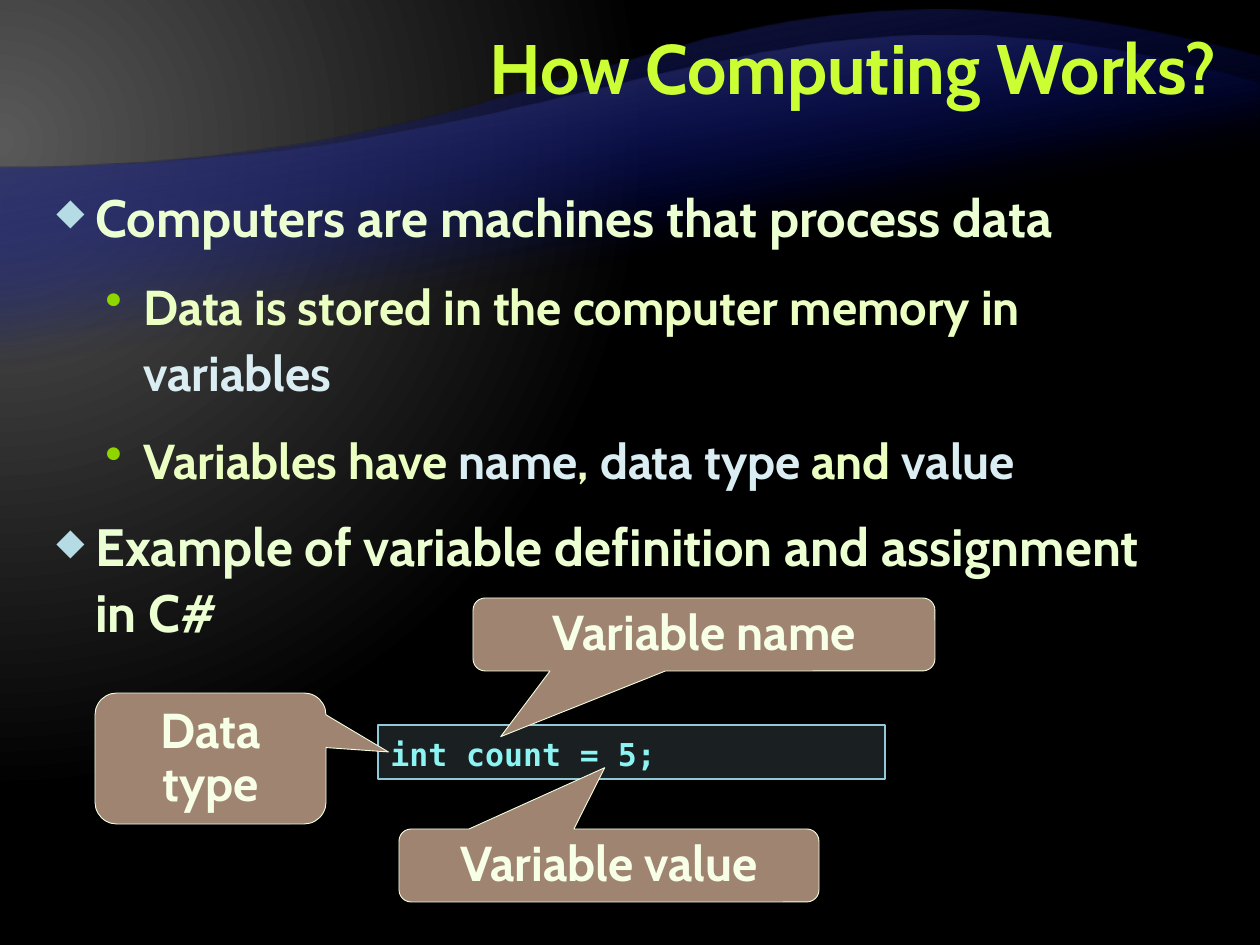
from lxml.etree import SubElement
from pptx import Presentation
from pptx.dml.color import RGBColor
from pptx.enum.shapes import MSO_SHAPE as Shape
from pptx.enum.text import MSO_ANCHOR as Anchor, PP_ALIGN as Align
from pptx.oxml import parse_xml
from pptx.oxml.ns import nsdecls, qn
from pptx.util import Pt

PX = 914400 / 126
WIDTH, HEIGHT = 1260, 945
HEADING_FONT, CODE_FONT = "Cabin", "DejaVu Sans Mono"
LIME = RGBColor(0xCC, 0xFF, 0x33)
TOPIC = RGBColor(0xEB, 0xFF, 0xD2)
DETAIL = RGBColor(0xEB, 0xFF, 0xC2)
KEYWORD = RGBColor(0xDA, 0xED, 0xF2)
ICE = RGBColor(0xB5, 0xDB, 0xE5)
GREEN = RGBColor(0x8F, 0xD6, 0x00)
CODE_TEXT = RGBColor(0x8C, 0xF4, 0xF2)
CODE_EDGE = RGBColor(0x90, 0xCA, 0xD7)
BROWN = RGBColor(0x9F, 0x84, 0x71)
CREAM = RGBColor(0xF7, 0xFF, 0xE7)
CALLOUT_EDGE = RGBColor(0xF5, 0xFF, 0xE0)
BLUE = RGBColor(0x00, 0x0D, 0x9E)
CHARCOAL = RGBColor(0x26, 0x26, 0x26)
GRAY = RGBColor(0x59, 0x59, 0x59)
BLACK = RGBColor(0x00, 0x00, 0x00)

WAVES = [
    (823, [(0, 168), (630, 168), (673, -94), (1260, 57)], CHARCOAL),
    (702, [(0, 168), (630, 168), (753, -62), (1260, 84)], GRAY),
]
BODY = [
    (0, [("Computers are machines that process data", TOPIC)]),
    (1, [("Data is stored in the computer memory in ", DETAIL), ("variables", KEYWORD)]),
    (1, [("Variables have ", DETAIL), ("name", KEYWORD), (", ", DETAIL),
         ("data type ", KEYWORD), ("and ", DETAIL), ("value", KEYWORD)]),
    (0, [("Example of variable definition and assignment in C#", TOPIC)]),
]
LEVELS = [
    {"size": 30, "indent": (39, -39), "mark": "◆", "color": ICE, "scale": 70},
    {"size": 28, "indent": (87, -38), "mark": "•", "color": GREEN, "scale": 100},
]
CALLOUTS = [
    ("Data type", (95, 693, 231, 131), (0.77, -0.05)),
    ("Variable name", (473, 598, 462, 73), (-0.44, 1.4)),
    ("Variable value", (399, 829, 420, 73), (-0.01, -1.34)),
]


def emu(*lengths):
    """Turn px lengths into EMU."""
    return [round(length * PX) for length in lengths]


def gradient(stops, direction):
    """Make a gradient fill from (position, colour, opacity) stops."""
    marks = "".join(
        f'<a:gs pos="{position * 1000}"><a:srgbClr val="{color}">'
        f'<a:alpha val="{opacity * 1000}"/></a:srgbClr></a:gs>'
        for position, color, opacity in stops)
    return parse_xml(f'<a:gradFill {nsdecls("a")} rotWithShape="1">'
                     f"<a:gsLst>{marks}</a:gsLst>{direction}</a:gradFill>")


def swap_fill(owner, fill):
    """Put a gradient in place of a solid fill."""
    solid = owner.find(qn("a:solidFill"))
    owner.replace(solid, fill)


def style_font(font, size, color, name=HEADING_FONT):
    """Set a bold font with its size and colour."""
    font.name, font.size, font.bold = name, Pt(size), True
    font.color.rgb = color


def paint_background(page):
    """Fill the page with a round glow from the left edge."""
    page.background.fill.solid()
    glow = ('<a:path path="circle"><a:fillToRect l="20000" t="30000" '
            'r="135000" b="100000"/></a:path>')
    swap_fill(page.element.find(".//" + qn("p:bgPr")),
              gradient([(0, GRAY, 100), (83, BLACK, 100)], glow))


def bezier(points, steps=48):
    """Sample a cubic curve at equal parameter steps."""
    for step in range(steps + 1):
        t = step / steps
        weights = ((1 - t) ** 3, 3 * t * (1 - t) ** 2, 3 * t * t * (1 - t), t ** 3)
        yield tuple(sum(w * point[axis] for w, point in zip(weights, points))
                    for axis in (0, 1))


def add_wave(page, bottom, curve, color):
    """Draw a translucent band below a curve."""
    builder = page.shapes.build_freeform(WIDTH, bottom, scale=PX)
    builder.add_line_segments([(0, bottom), *bezier(curve)], close=True)
    wave = builder.convert_to_shape()
    wave.shadow.inherit = False
    wave.line.fill.background()
    wave.fill.solid()
    swap_fill(wave._element.spPr,
              gradient([(65, BLUE, 0), (100, color, 100)],
                       '<a:lin ang="15600000" scaled="0"/>'))


def add_text_box(page, bounds, anchor):
    """Add a wrapping text box and return its frame."""
    frame = page.shapes.add_textbox(*emu(*bounds)).text_frame
    frame.word_wrap, frame.vertical_anchor = True, anchor
    return frame


def add_title(page, text):
    """Add the right-aligned heading."""
    para = add_text_box(page, (252, 10, 977, 126), Anchor.MIDDLE).paragraphs[0]
    para.text, para.alignment, para.line_spacing = text, Align.RIGHT, Pt(40)
    style_font(para.font, 40, LIME)


def add_bullet(para, level):
    """Give a paragraph the indent and bullet of its level."""
    props = para._p.get_or_add_pPr()
    margin, indent = emu(*level["indent"])
    props.set("marL", str(margin))
    props.set("indent", str(indent))
    tint = SubElement(props, qn("a:buClr"))
    SubElement(tint, qn("a:srgbClr"), val=str(level["color"]))
    SubElement(props, qn("a:buSzPct"), val=str(level["scale"] * 1000))
    SubElement(props, qn("a:buChar"), char=level["mark"])


def add_body(page, items):
    """Add the two-level bullet list."""
    frame = add_text_box(page, (44, 175, 1150, 735), Anchor.TOP)
    for index, (depth, spans) in enumerate(items):
        para = frame.add_paragraph() if index else frame.paragraphs[0]
        para.level, para.line_spacing = depth, Pt(38)
        para.space_before = para.space_after = Pt(6)
        add_bullet(para, LEVELS[depth])
        for text, color in spans:
            span = para.add_run()
            span.text = text
            style_font(span.font, LEVELS[depth]["size"], color)


def add_panel(page, kind, bounds, fill, edge, weight):
    """Add a filled and outlined shape."""
    panel = page.shapes.add_shape(kind, *emu(*bounds))
    panel.shadow.inherit = False
    panel.fill.solid()
    panel.fill.fore_color.rgb = fill
    panel.line.color.rgb, panel.line.width = edge, Pt(weight)
    panel.text_frame.word_wrap = True
    panel.text_frame.vertical_anchor = Anchor.MIDDLE
    return panel


def add_code(page, text):
    """Add the translucent code line."""
    panel = add_panel(page, Shape.RECTANGLE, (378, 725, 507, 54), ICE, CODE_EDGE, 1)
    color = panel._element.spPr.find(qn("a:solidFill"))[0]
    SubElement(color, qn("a:alpha"), val="15000")
    para = panel.text_frame.paragraphs[0]
    para.text, para.alignment, para.line_spacing = text, Align.LEFT, 1.1
    style_font(para.font, 18, CODE_TEXT, CODE_FONT)


def add_callout(page, text, bounds, tip):
    """Add a rounded callout whose tip is relative to its centre."""
    callout = add_panel(page, Shape.ROUNDED_RECTANGULAR_CALLOUT, bounds,
                        BROWN, CALLOUT_EDGE, 0.5)
    callout.adjustments[0], callout.adjustments[1] = tip
    para = callout.text_frame.paragraphs[0]
    para.text, para.alignment, para.line_spacing = text, Align.CENTER, Pt(30)
    style_font(para.font, 28, CREAM)


def main():
    """Build and save the slide."""
    deck = Presentation()
    deck.slide_width, deck.slide_height = emu(WIDTH, HEIGHT)
    page = deck.slides.add_slide(deck.slide_layouts[6])
    paint_background(page)
    for wave in WAVES:
        add_wave(page, *wave)
    add_title(page, "How Computing Works?")
    add_body(page, BODY)
    add_code(page, "int count = 5;")
    for callout in CALLOUTS:
        add_callout(page, *callout)
    deck.save("out.pptx")


if __name__ == "__main__":
    main()
